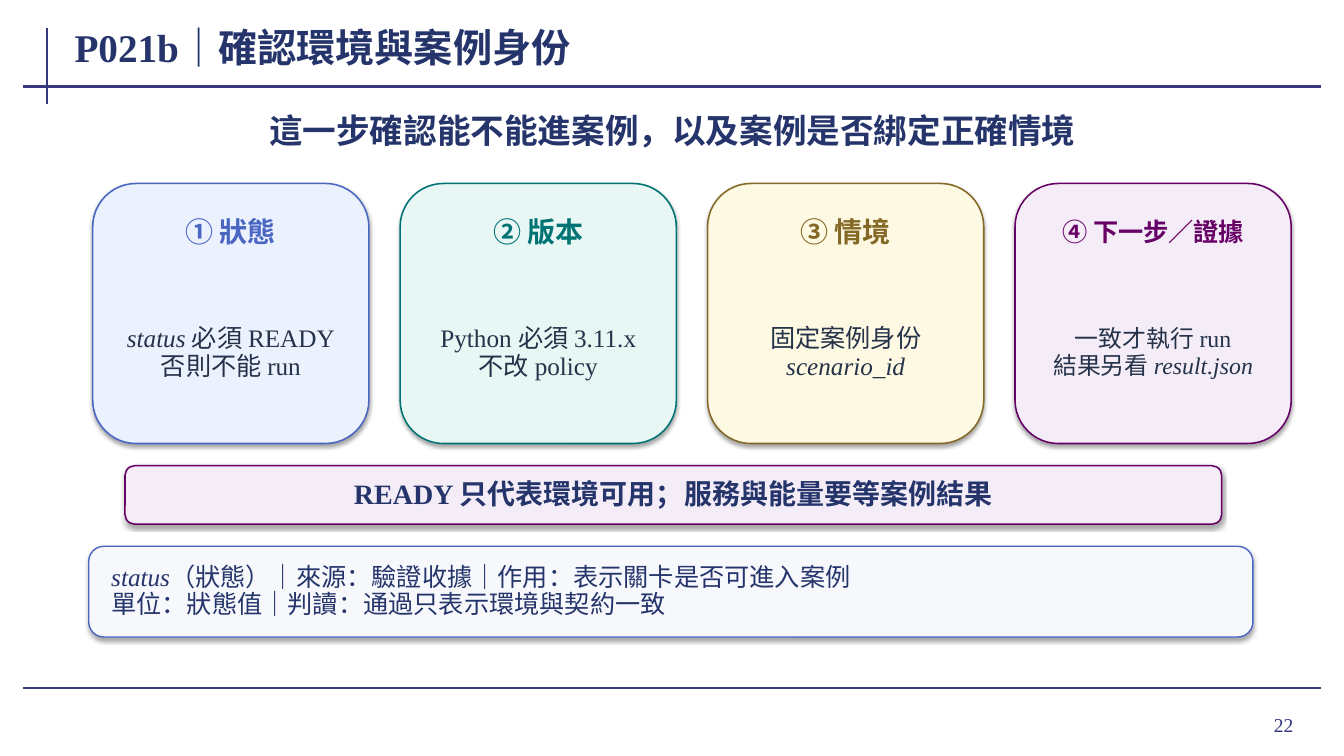
from lxml import etree
from pptx import Presentation
from pptx.dml.color import RGBColor
from pptx.enum.shapes import MSO_CONNECTOR, MSO_SHAPE
from pptx.enum.text import MSO_ANCHOR, PP_ALIGN
from pptx.oxml.ns import qn
from pptx.util import Pt

LEFT, MID, RIGHT = PP_ALIGN.LEFT, PP_ALIGN.CENTER, PP_ALIGN.RIGHT
CENTER = MSO_ANCHOR.MIDDLE
ROUND = MSO_SHAPE.ROUNDED_RECTANGLE
LINE = MSO_CONNECTOR.STRAIGHT
FONT = "Times New Roman"
NAVY, RULE, INK = "25356B", "35377F", "25324A"
BLUE, PLUM, LILAC = "4967C2", "660066", "F4EDF7"


def color(code):
    return RGBColor.from_string(code)


class Page:
    def __init__(self, slide, font):
        self.shapes = slide.shapes
        self.font = font

    def rule(self, x1, y1, x2, y2):
        line = self.shapes.add_connector(LINE, Pt(x1), Pt(y1), Pt(x2), Pt(y2))
        line.line.color.rgb = color(RULE)
        line.line.width = Pt(1.5)
        etree.SubElement(line._element.spPr, qn("a:effectLst"))

    def panel(self, x, y, w, h, fill, edge, width=1.1):
        box = self.shapes.add_shape(ROUND, Pt(x), Pt(y), Pt(w), Pt(h))
        box.fill.solid()
        box.fill.fore_color.rgb = color(fill)
        box.line.color.rgb = color(edge)
        box.line.width = Pt(width)
        box.shadow.inherit = False
        self.shade(box)
        return box

    def shade(self, box):
        effects = box._element.spPr.find(qn("a:effectLst"))
        outer = etree.SubElement(
            effects, qn("a:outerShdw"), blurRad=str(Pt(3.1)), dist=str(Pt(1.8)),
            dir="5400000", algn="ctr", rotWithShape="0")
        black = etree.SubElement(outer, qn("a:srgbClr"), val="000000")
        etree.SubElement(black, qn("a:alpha"), val="35000")

    def label(self, x, y, w, h, lines, size, ink, **style):
        box = self.shapes.add_textbox(Pt(x), Pt(y), Pt(w), Pt(h))
        self.letter(box, lines, size, ink, **style)

    def letter(self, box, lines, size, ink, bold=False, align=MID, space=1.0,
               pad=(1.44, 0)):
        frame = box.text_frame
        frame.word_wrap = True
        frame.vertical_anchor = CENTER
        frame.margin_left = frame.margin_right = Pt(pad[0])
        frame.margin_top = frame.margin_bottom = Pt(pad[1])
        for row, line in enumerate(lines):
            para = frame.add_paragraph() if row else frame.paragraphs[0]
            para.alignment = align
            para.line_spacing = space
            for part, text in enumerate(line.split("*")):
                if not text:
                    continue
                run = para.add_run()
                run.text = text
                run.font.name = self.font
                run.font.size = Pt(size)
                run.font.bold = bold
                run.font.italic = part % 2 == 1
                run.font.color.rgb = color(ink)

    def card(self, x, y, head, lines, fill, edge, big, small):
        self.panel(x, y, 197.28, 185.76, fill, edge)
        self.label(x + 11.52, y + 14.4, 174.24, 41.76, [head], big, edge,
                   bold=True, space=0.92, pad=(2.16, 0.72))
        self.label(x + 12.96, y + 70.56, 171.36, 100.8, lines, small, INK,
                   space=0.94, pad=(3.6, 0.72))


CARDS = [
    ("① 狀態", ["*status* 必須 READY", "否則不能 run"], "ECF1FE", BLUE, 20, 18),
    ("② 版本", ["Python 必須 3.11.x", "不改 policy"], "E8F7F4", "007374", 20, 18),
    ("③ 情境", ["固定案例身份", "*scenario_id*"], "FDF9E2", "846826", 20, 18),
    ("④ 下一步／證據", ["一致才執行 run", "結果另看 *result.json*"],
     LILAC, PLUM, 18, 17),
]


def main():
    deck = Presentation()
    deck.slide_width, deck.slide_height = Pt(960), Pt(540)
    page = Page(deck.slides.add_slide(deck.slide_layouts[6]), FONT)

    page.rule(33.6, 20, 33.6, 74)
    for y in (61.8, 491.2):
        page.rule(16.6, y, 943.4, y)
    page.label(861, 499, 70, 37.4, ["22"], 14, RULE, align=RIGHT, pad=(7.2, 3.6))
    page.label(51.84, 14.4, 745.2, 38.16, ["P021b｜確認環境與案例身份"], 28, NAVY,
               bold=True, align=LEFT)
    page.label(73.44, 75.6, 813.6, 37.44,
               ["這一步確認能不能進案例，以及案例是否綁定正確情境"], 24, NAVY,
               bold=True, space=0.96)

    for col, card in enumerate(CARDS):
        page.card(66.24 + col * 219.6, 131.04, *card)

    claim = page.panel(89.28, 332.64, 783.36, 41.76, LILAC, PLUM)
    page.letter(claim, ["READY 只代表環境可用；服務與能量要等案例結果"], 20, NAVY,
                bold=True, space=0.95, pad=(8.64, 2.88))
    note = page.panel(63.36, 390.24, 831.6, 64.8, "F7F8FC", BLUE, 1)
    page.letter(note, ["*status*（狀態）｜來源：驗證收據｜作用：表示關卡是否可進入案例",
                       "單位：狀態值｜判讀：通過只表示環境與契約一致"], 18, NAVY,
                align=LEFT, space=0.9, pad=(12.96, 2.16))
    deck.save("out.pptx")


if __name__ == "__main__":
    main()
